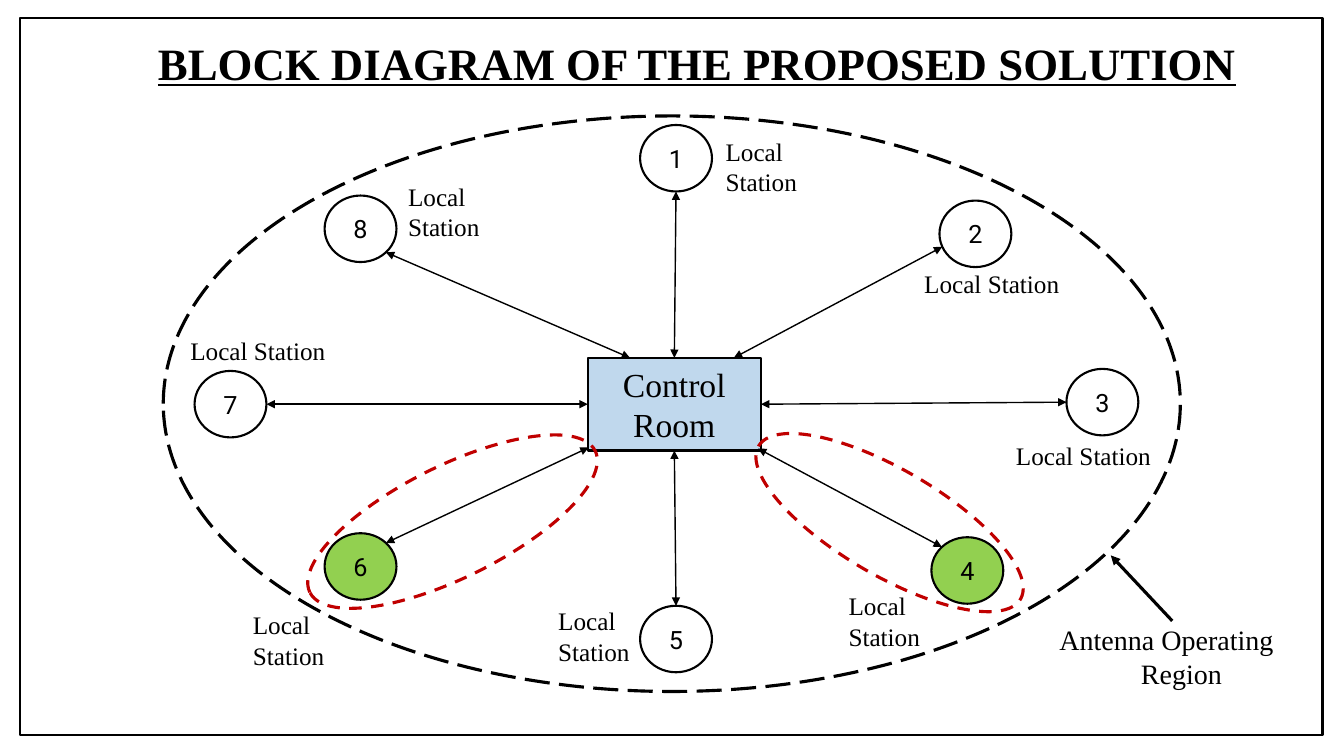
from dataclasses import dataclass
from math import cos, radians, sin

from lxml.etree import SubElement
from pptx import Presentation
from pptx.dml.color import RGBColor
from pptx.enum.dml import MSO_LINE_DASH_STYLE as Dash
from pptx.enum.shapes import MSO_CONNECTOR as Connector, MSO_SHAPE as Preset
from pptx.enum.text import MSO_ANCHOR as Anchor, MSO_AUTO_SIZE as AutoSize, PP_ALIGN as Align
from pptx.oxml.ns import qn
from pptx.util import Inches, Pt


@dataclass(frozen=True)
class Theme:
    ink: str = "000000"
    room: str = "C0D8ED"
    active: str = "92D050"
    alert: str = "C00000"
    serif: str = "Times New Roman"
    sans: str = "Roboto"
    title: int = 32
    heading: int = 24
    note: int = 20
    body: int = 18
    thin: float = 1
    medium: float = 1.5
    thick: float = 2.25


COLUMNS, ROWS = 40, 22.5
STATION_WIDTH, STATION_HEIGHT = 2.14, 1.98
ONE_LINE = 4.68

STATIONS = {
    1: (19.05, 3.72, False, (21.3, 3.9, 3.69), "Local Station", 90, 0),
    2: (27.96, 5.97, False, (27.21, 7.83, ONE_LINE), "Local Station", 157, (21.84, 10.65)),
    3: (31.74, 10.98, False, (29.94, 12.96, ONE_LINE), "Local Station", 180, 3),
    4: (27.72, 15.99, True, (24.96, 17.43, 3.45), "Local Station", 225, (22.56, 13.35)),
    5: (19.05, 18.03, False, (16.32, 17.88, 4.08), "Local Station", 270, 2),
    6: (9.66, 15.87, True, (7.23, 18, 3), "Local\nStation", 315, (17.52, 13.32)),
    7: (5.79, 11.04, False, (5.37, 9.84, ONE_LINE), "Local Station", 0, 1),
    8: (9.66, 5.82, False, (11.85, 5.25, 3.21), "Local Station", 45, (18.75, 10.65)),
}


def apply(target, values):
    for name, value in values.items():
        setattr(target, name, value)


class Diagram:
    def __init__(self, presentation, theme):
        self.theme = theme
        self.cell_width = presentation.slide_width / COLUMNS
        self.cell_height = presentation.slide_height / ROWS
        self.slide = presentation.slides.add_slide(presentation.slide_layouts[5])

    def place(self, *grid):
        cells = (self.cell_width, self.cell_height)
        return [round(length * cells[index % 2]) for index, length in enumerate(grid)]

    def set_text(self, shape, text, size, font, frame=None, paragraph_style=None, font_style=None):
        apply(shape.text_frame, {"word_wrap": True, "auto_size": AutoSize.NONE, **(frame or {})})
        shape.text_frame.text = text
        for paragraph in shape.text_frame.paragraphs:
            apply(paragraph, paragraph_style or {})
            apply(paragraph.font, {"name": font, "size": Pt(size), **(font_style or {})})
            paragraph.font.color.rgb = RGBColor.from_string(self.theme.ink)

    def title(self, text, box, indent):
        shape = self.slide.shapes.title
        apply(shape, dict(zip(("left", "top", "width", "height"), self.place(*box))))
        frame = {"margin_left": 0, "margin_right": 0, "margin_bottom": 0,
                 "margin_top": Inches(0.25), "vertical_anchor": Anchor.TOP}
        self.set_text(shape, text, self.theme.title, self.theme.serif, frame,
                      {"alignment": Align.CENTER, "space_before": Pt(0.9)},
                      {"bold": True, "underline": True})
        self.indent(shape, indent, 0)

    def indent(self, shape, left, first):
        margin, hanging = self.place(left, 0, first, 0)[::2]
        for paragraph in shape.text_frame.paragraphs:
            properties = paragraph._p.get_or_add_pPr()
            properties.set("marL", str(margin))
            properties.set("indent", str(hanging))

    def outline(self, line, colour, width, dash=None):
        line.color.rgb = RGBColor.from_string(colour)
        apply(line, {"width": Pt(width), "dash_style": dash})

    def shape(self, preset, box, fill=None, colour=None, width=None, dash=None, rotation=0):
        shape = self.slide.shapes.add_shape(preset, *self.place(*box))
        shape.shadow.inherit = False
        shape.rotation = rotation
        if fill:
            shape.fill.solid()
            shape.fill.fore_color.rgb = RGBColor.from_string(fill)
        else:
            shape.fill.background()
        self.outline(shape.line, colour or self.theme.ink, width or self.theme.medium, dash)
        return shape

    def node(self, preset, box, text, size, font, fill=None):
        shape = self.shape(preset, box, fill)
        self.set_text(shape, text, size, font, {"vertical_anchor": Anchor.MIDDLE},
                      {"alignment": Align.CENTER})
        return shape

    def label(self, text, box, size, frame=None, paragraph_style=None):
        shape = self.slide.shapes.add_textbox(*self.place(*box))
        self.set_text(shape, text, size, self.theme.serif, frame, paragraph_style)
        return shape

    def arrow(self, start, end, width, ends=("headEnd", "tailEnd")):
        connector = self.slide.shapes.add_connector(
            Connector.STRAIGHT, *self.place(*start, *end))
        self.outline(connector.line, self.theme.ink, width)
        properties = connector._element.spPr
        line = properties.find(qn("a:ln"))
        for name in ends:
            SubElement(line, qn(f"a:{name}"), type="triangle")
        SubElement(properties, qn("a:effectLst"))
        return connector

    def station(self, number, room, left, top, active, label, text, angle, anchor):
        theme = self.theme
        self.node(Preset.OVAL, (left, top, STATION_WIDTH, STATION_HEIGHT), str(number),
                  theme.body, theme.sans, theme.active if active else None)
        one_line = label[2] == ONE_LINE
        self.label(text, (*label, 1.2 if one_line else 2.13), theme.body,
                   {"word_wrap": not one_line})
        end = (left + STATION_WIDTH / 2 * (1 + cos(radians(angle))),
               top + STATION_HEIGHT / 2 * (1 + sin(radians(angle))))
        joined = isinstance(anchor, int)
        connector = self.arrow(end if joined else anchor, end, theme.thin)
        if joined:
            connector.begin_connect(room, anchor)


def main():
    presentation = Presentation()
    apply(presentation, {"slide_width": Inches(13.33), "slide_height": Inches(7.5)})
    theme = Theme()
    diagram = Diagram(presentation, theme)
    diagram.title("BLOCK DIAGRAM OF THE PROPOSED SOLUTION", (0.63, 0.3, 38.76, 2.37), 1.47)
    room = diagram.node(Preset.RECTANGLE, (17.49, 10.65, 5.16, 2.76), "Control\nRoom",
                        theme.heading, theme.serif, theme.room)
    for number, station in STATIONS.items():
        diagram.station(number, room, *station)

    diagram.shape(Preset.OVAL, (4.86, 3.45, 30.27, 17.13), width=theme.thick,
                  dash=Dash.LONG_DASH)
    diagram.shape(Preset.RECTANGLE, (0.6, 0.54, 38.76, 21.33))
    region = diagram.label("Antenna Operating Region", (31.5, 18.51, 7.5, 2.07), theme.note,
                           {"margin_left": 0, "margin_right": 0, "margin_bottom": 0,
                            "margin_top": Inches(0.01)}, {"space_before": Pt(1)})
    diagram.indent(region, 2.46, -2.43)
    diagram.arrow((34.89, 18.48), (33.06, 16.53), theme.thick, ("tailEnd",))
    for box, rotation in (((8.73, 13.86, 9.48, 3.33), 333.6),
                          ((21.96, 13.98, 9.03, 3.15), 30.3)):
        diagram.shape(Preset.OVAL, box, colour=theme.alert, width=theme.thick,
                      dash=Dash.DASH, rotation=rotation)
    presentation.save("out.pptx")


if __name__ == "__main__":
    main()
